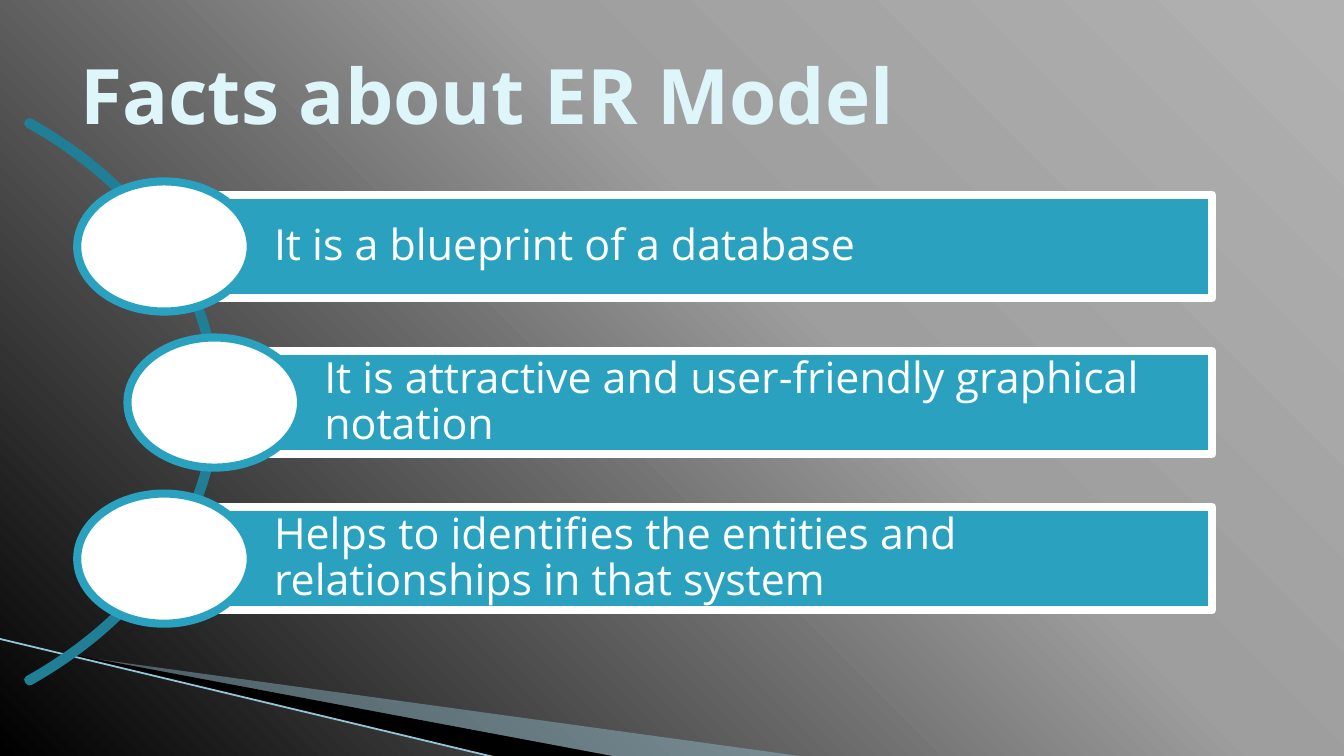
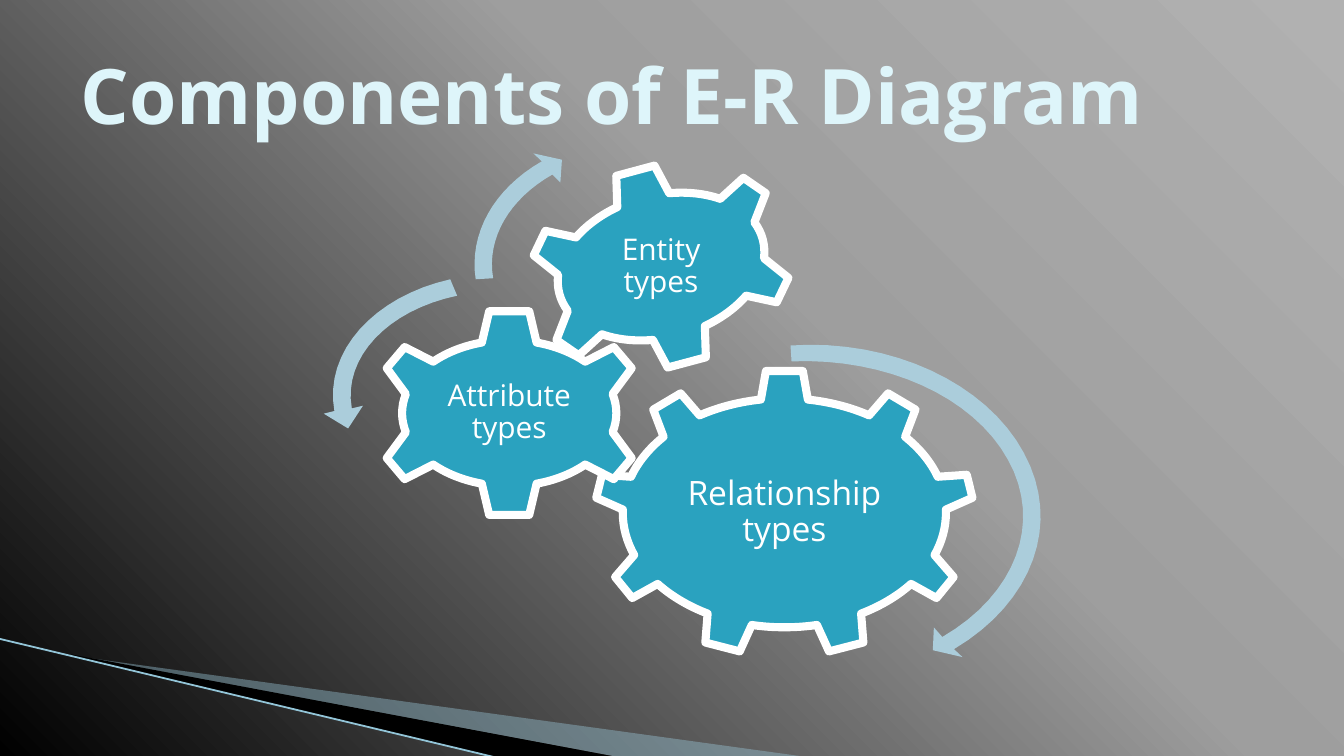
from lxml.etree import SubElement
from pptx import Presentation
from pptx.dml.color import RGBColor
from pptx.enum.shapes import MSO_CONNECTOR, MSO_SHAPE
from pptx.enum.text import MSO_ANCHOR, MSO_AUTO_SIZE, PP_ALIGN
from pptx.oxml import parse_xml
from pptx.oxml.ns import nsdecls, qn
from pptx.util import Cm, Pt

TEAL, DARK_TEAL, WHITE, BLACK = "2AA2BF", "207F97", "FFFFFF", "000000"
ARROW, TITLE, WEDGE, EDGE = "ABCDDB", "DEF5FA", "9CCADC", "93C5D8"
BACKDROP = ((0, "B1B1B1"), (40, "9E9E9E"), (100, BLACK))

FACTS = (
    ("It is a blueprint of a database", 0),
    ("It is attractive and user-friendly graphical notation", 0.95),
    ("Helps to identifies the entities and relationships in that system", 0),
)
BAR_LEFT, BAR_RIGHT, BAR_TOP, BAR_HEIGHT, BAR_PITCH = 3.1, 22.91, 3.68, 1.96, 2.95
DOT_WIDTH, DOT_HEIGHT = 3.28, 2.46

GEARS = (
    ("Relationship types", MSO_SHAPE.GEAR_9, (11.23, 6.99, 7.19, 5.41), 0, (4.29, 2.77), 18),
    ("Attribute types", MSO_SHAPE.GEAR_6, (7.01, 5.84, 5.23, 3.94), 0, (2.59, 1.93), 16),
    ("Entity types", MSO_SHAPE.GEAR_6, (9.93, 3.12, 5.13, 3.84), 345, (2.87, 2.16), 16),
)
TURNS = (
    ((14.94, 6.53), (16.84, 6.4, 18.64, 7.24, 19.35, 8.56),
     (20.07, 9.88, 19.53, 11.38, 18.03, 12.27), (18.19, 12.42), (17.63, 12.29),
     (17.65, 11.86), (17.81, 12.04), (19.2, 11.23, 19.71, 9.88, 19.05, 8.69),
     (18.39, 7.49, 16.74, 6.76, 14.96, 6.83)),
    ((8.51, 5.28), (8.64, 5.59), (7.32, 5.87, 6.48, 6.76, 6.65, 7.72), (6.86, 7.67),
     (6.58, 8.1), (6.12, 7.82), (6.32, 7.77), (6.12, 6.65, 7.06, 5.61, 8.51, 5.28)),
    ((8.99, 5.28), (8.86, 4.42, 9.32, 3.58, 10.24, 3.05), (10.08, 2.9), (10.62, 3.02),
     (10.59, 3.45), (10.44, 3.3), (9.63, 3.76, 9.19, 4.5, 9.32, 5.26)),
)


def color(code):
    return RGBColor.from_string(code)


def apply(target, values):
    for name, value in values.items():
        setattr(target, name, value)


def flatten(steps, pieces=16):
    points = [steps[0]]
    for step in steps[1:]:
        if len(step) == 2:
            points.append(step)
            continue
        start, (x1, y1, x2, y2, x3, y3) = points[-1], step
        for piece in range(1, pieces + 1):
            t = piece / pieces
            weights = ((1 - t) ** 3, 3 * t * (1 - t) ** 2, 3 * t * t * (1 - t), t ** 3)
            points.append(tuple(
                sum(w * v for w, v in zip(weights, axis))
                for axis in ((start[0], x1, x2, x3), (start[1], y1, y2, y3))
            ))
    return points


class Deck:
    """Hold the shared style and the current slide, and draw elements on it."""

    font = "Open Sans"
    outline = 4.33

    def __init__(self):
        self.deck = Presentation()
        apply(self.deck, {"slide_width": Cm(25.4), "slide_height": Cm(14.29)})
        self.slide = None

    def start(self, heading):
        self.slide = self.deck.slides.add_slide(self.deck.slide_layouts[5])
        title = self.slide.shapes.title
        apply(title, {"left": Cm(1.27), "top": Cm(0.58), "width": Cm(22.86), "height": Cm(2.39)})
        self.set_text(title, heading, 41, TITLE, PP_ALIGN.LEFT, (0.25, 0.13, 0.25, 0.13), bold=True)

    def set_text(self, holder, words, size, ink, align, insets, bold=False, spacing=None):
        frame = holder.text_frame
        left, top, right, bottom = map(Cm, insets)
        apply(frame, {
            "text": words, "word_wrap": True, "auto_size": MSO_AUTO_SIZE.NONE,
            "vertical_anchor": MSO_ANCHOR.MIDDLE, "margin_left": left, "margin_top": top,
            "margin_right": right, "margin_bottom": bottom,
        })
        paragraph = frame.paragraphs[0]
        apply(paragraph, {"alignment": align, "line_spacing": spacing})
        font = paragraph.runs[0].font
        apply(font, {"name": self.font, "size": Pt(size), "bold": bold})
        font.color.rgb = color(ink)

    def paint(self, shape, fill, line):
        shape.shadow.inherit = False
        if fill:
            shape.fill.solid()
            shape.fill.fore_color.rgb = color(fill)
        else:
            shape.fill.background()
        if line:
            shape.line.color.rgb = color(line)
            shape.line.width = Pt(self.outline)
        else:
            shape.line.fill.background()
        return shape

    def preset(self, kind, box, fill=None, line=None):
        return self.paint(self.slide.shapes.add_shape(kind, *map(Cm, box)), fill, line)

    def outline_shape(self, steps, fill):
        points = [(Cm(x), Cm(y)) for x, y in flatten(steps)]
        builder = self.slide.shapes.build_freeform(*points[0])
        builder.add_line_segments(points[1:], close=True)
        return self.paint(builder.convert_to_shape(), fill, None)

    def label(self, words, box, size):
        holder = self.slide.shapes.add_textbox(*map(Cm, box))
        self.set_text(holder, words, size, WHITE, PP_ALIGN.CENTER, (0.05,) * 4, spacing=0.9)

    def line(self, ends, ink, width):
        rule = self.slide.shapes.add_connector(MSO_CONNECTOR.STRAIGHT, *map(Cm, ends))
        rule.line.color.rgb = color(ink)
        rule.line.width = Pt(width)
        SubElement(rule.element.spPr, qn("a:effectLst"))
        return rule

    def dress_master(self):
        master = self.deck.slide_master
        master.background.fill.gradient()
        stops = "".join(
            f'<a:gs pos="{place * 1000}"><a:srgbClr val="{code}"/></a:gs>' for place, code in BACKDROP
        )
        gradient = parse_xml(
            f'<a:gradFill {nsdecls("a")} rotWithShape="1"><a:gsLst>{stops}</a:gsLst>'
            '<a:path path="circle"><a:fillToRect l="100000" b="100000"/></a:path></a:gradFill>'
        )
        plain = master.element.find(f'.//{qn("p:bgPr")}/{qn("a:gradFill")}')
        plain.getparent().replace(plain, gradient)

        wedge = self.outline_shape(((1.4, 12.4), (15.11, 14.29), (11.58, 14.29)), WEDGE)
        tint = wedge.element.spPr.find(f'{qn("a:solidFill")}/{qn("a:srgbClr")}')
        SubElement(tint, qn("a:alpha"), val="40000")
        shade = self.outline_shape(
            ((1.35, 12.37), (11.61, 14.3), (9.45, 14.33), (1.37, 12.4)), BLACK
        )
        edge = self.line((-0.03, 12.07, 9.42, 14.33), EDGE, 0.95)
        for part in (wedge, shade, edge):
            master.shapes.element.append(part.element)


def draw_facts(deck):
    arc = deck.preset(MSO_SHAPE.BLOCK_ARC, (-13.54, 0.99, 17.63, 13.21), line=DARK_TEAL)
    for index, value in enumerate((189, 27, 0.003)):
        arc.adjustments[index] = value
    for row, (fact, indent) in enumerate(FACTS):
        left, top = BAR_LEFT + indent, BAR_TOP + row * BAR_PITCH
        bar = deck.preset(
            MSO_SHAPE.RECTANGLE, (left, top, BAR_RIGHT - left, BAR_HEIGHT), TEAL, WHITE
        )
        deck.set_text(bar, fact, 23, WHITE, PP_ALIGN.LEFT, (2.08, 0.15, 0.15, 0.15), spacing=0.9)
        dot_top = top + (BAR_HEIGHT - DOT_HEIGHT) / 2
        deck.preset(
            MSO_SHAPE.OVAL, (left - DOT_WIDTH / 2, dot_top, DOT_WIDTH, DOT_HEIGHT), WHITE, TEAL
        )


def draw_components(deck):
    for component, kind, box, angle, (wide, high), size in GEARS:
        gear = deck.preset(kind, box, TEAL, WHITE)
        gear.rotation = angle
        left, top, width, height = box
        deck.label(
            component, (left + (width - wide) / 2, top + (height - high) / 2, wide, high), size
        )
    for turn in TURNS:
        deck.outline_shape(turn, ARROW)


def main():
    deck = Deck()
    deck.start("Facts about ER Model")
    deck.dress_master()
    draw_facts(deck)
    deck.start("Components of E-R Diagram")
    draw_components(deck)
    deck.deck.save("out.pptx")


if __name__ == "__main__":
    main()
